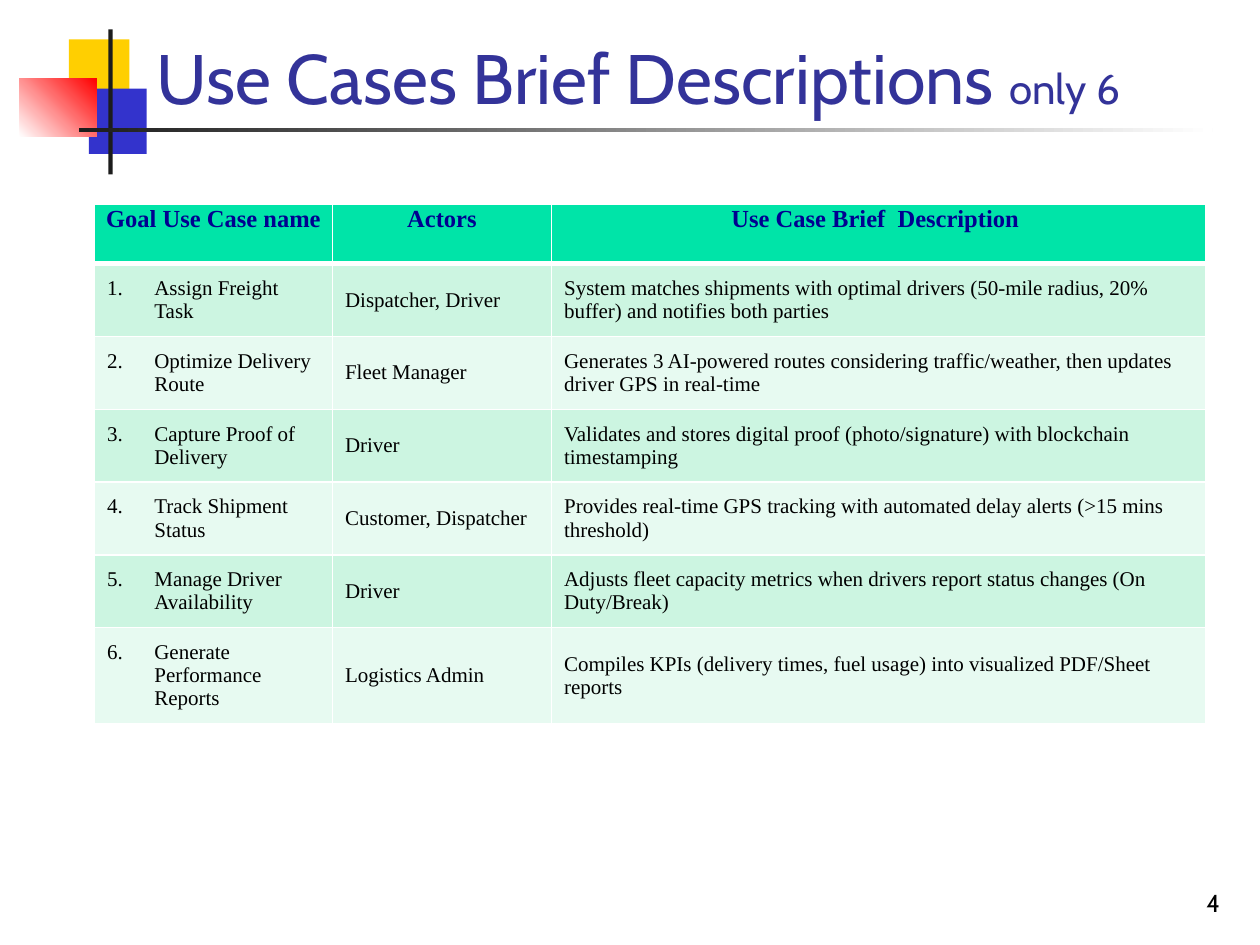
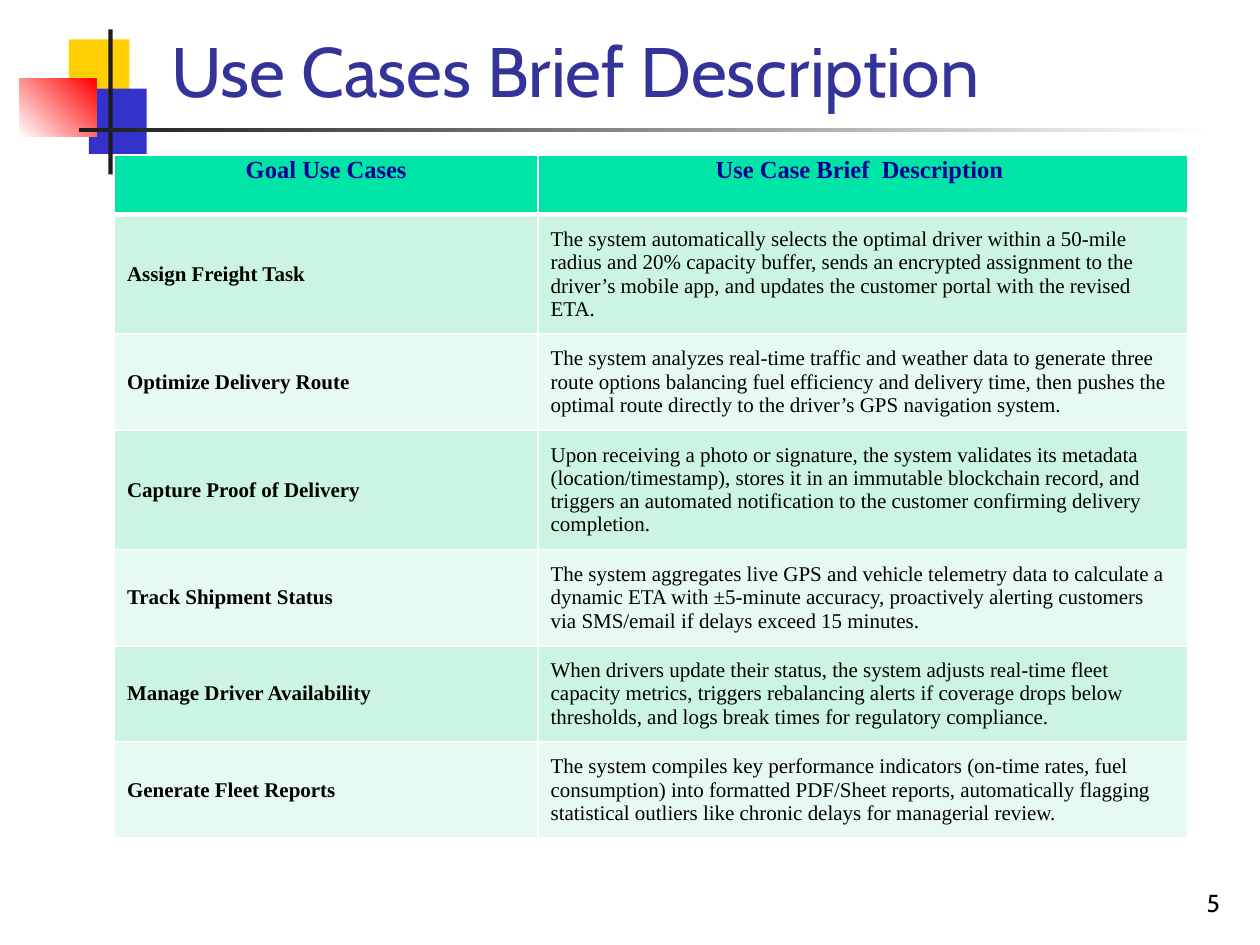
from dataclasses import dataclass

import pptx
import pptx.util
import pptx.dml.color
import pptx.enum.shapes
import pptx.enum.text
import pptx.oxml
import pptx.oxml.ns
from lxml import etree

Pt = pptx.util.Pt
RGB = pptx.dml.color.RGBColor.from_string
ALIGN = pptx.enum.text.PP_ALIGN
ANCHOR = pptx.enum.text.MSO_ANCHOR


@dataclass(frozen=True)
class Theme:
    title_font: str = "Cabin"
    table_font: str = "Times New Roman"
    title_size: float = 40
    title_note_size: float = 24
    header_size: float = 14
    body_size: float = 12
    number_size: float = 14
    title: str = "333399"
    ink: str = "000000"
    white: str = "FFFFFF"
    yellow: str = "FFCF01"
    blue: str = "3333CC"
    red: str = "FF0000"
    rule: str = "1C1C1C"
    header_text: str = "000090"
    header_fill: str = "00E4A8"
    bands: tuple = ("CCF5E1", "E7FAF1")


theme = Theme()


def write(frame, text, font=theme.title_font, size=theme.body_size, color=theme.ink,
          bold=False, align=ALIGN.LEFT, spacing=None, number=None, note=""):
    frame.word_wrap = True
    para = frame.paragraphs[0]
    para.alignment = align
    if spacing:
        para.line_spacing = spacing
    if number:
        properties = para._p.get_or_add_pPr()
        properties.set("marL", str(Pt(27)))
        properties.set("indent", str(-Pt(27)))
        etree.SubElement(properties, pptx.oxml.ns.qn("a:buAutoNum"),
                         type="arabicPeriod", startAt=str(number))
    for words, points in ((text, size), (note, theme.title_note_size)):
        if words:
            span = para.add_run()
            span.text = words
            span.font.name = font
            span.font.size = Pt(points)
            span.font.bold = bold
            span.font.color.rgb = RGB(color)


def draw_borders(cell, top, bottom):
    properties = cell._tc.get_or_add_tcPr()
    for side, width in (("L", 1), ("R", 1), ("T", top), ("B", bottom)):
        line = etree.SubElement(properties, pptx.oxml.ns.qn(f"a:ln{side}"), w=str(Pt(width)))
        fill = etree.SubElement(line, pptx.oxml.ns.qn("a:solidFill"))
        etree.SubElement(fill, pptx.oxml.ns.qn("a:srgbClr"), val=theme.white)


emblem = [
    ((39.4, 22.5, 34.5, 37.4), (theme.yellow,), 0),
    ((50.8, 50.6, 33.1, 37.4), (theme.blue,), 0),
    ((11.2, 44.8, 44, 33.4), (theme.white, theme.red), 45),
    ((61.9, 16.8, 2.5, 82.8), (theme.rule,), 0),
    ((45, 73.2, 648, 2.5), (theme.rule, theme.white), 0),
]

pages = [
    {
        "title": "Use Cases Brief Descriptions ",
        "note": "only 6",
        "title_at": (82.3, 20.9),
        "number": 4,
        "table_at": (54, 116.7),
        "columns": (136, 125.2, 373.7),
        "numbered": True,
        "lines": (2, 2, 2, 2, 2, 3),
        "header": ("Goal Use Case name", "Actors", "Use Case Brief  Description "),
        "rows": [
            ("Assign Freight Task", "Dispatcher, Driver",
             "System matches shipments with optimal drivers (50-mile radius, 20% buffer) "
             "and notifies both parties"),
            ("Optimize Delivery Route", "Fleet Manager",
             "Generates 3 AI-powered routes considering traffic/weather, then updates "
             "driver GPS in real-time"),
            ("Capture Proof of Delivery", "Driver",
             "Validates and stores digital proof (photo/signature) with blockchain timestamping"),
            ("Track Shipment Status", "Customer, Dispatcher",
             "Provides real-time GPS tracking with automated delay alerts (>15 mins threshold)"),
            ("Manage Driver Availability", "Driver",
             "Adjusts fleet capacity metrics when drivers report status changes (On Duty/Break)"),
            ("Generate Performance Reports", "Logistics Admin",
             "Compiles KPIs (delivery times, fuel usage) into visualized PDF/Sheet reports"),
        ],
    },
    {
        "title": "Use Cases Brief Description",
        "note": "",
        "title_at": (90.7, 16.6),
        "number": 5,
        "table_at": (65.4, 88.6),
        "columns": (242.1, 371),
        "numbered": False,
        "lines": (4, 3, 4, 3, 3, 3),
        "header": ("Goal Use Cases", "Use Case Brief  Description "),
        "rows": [
            ("Assign Freight Task",
             "The system automatically selects the optimal driver within a 50-mile radius and "
             "20% capacity buffer, sends an encrypted assignment to the driver’s mobile app, "
             "and updates the customer portal with the revised ETA."),
            ("Optimize Delivery Route",
             "The system analyzes real-time traffic and weather data to generate three route "
             "options balancing fuel efficiency and delivery time, then pushes the optimal "
             "route directly to the driver’s GPS navigation system."),
            ("Capture Proof of Delivery",
             "Upon receiving a photo or signature, the system validates its metadata "
             "(location/timestamp), stores it in an immutable blockchain record, and triggers "
             "an automated notification to the customer confirming delivery completion."),
            ("Track Shipment Status",
             "The system aggregates live GPS and vehicle telemetry data to calculate a dynamic "
             "ETA with ±5-minute accuracy, proactively alerting customers via SMS/email if "
             "delays exceed 15 minutes."),
            ("Manage Driver Availability",
             "When drivers update their status, the system adjusts real-time fleet capacity "
             "metrics, triggers rebalancing alerts if coverage drops below thresholds, and "
             "logs break times for regulatory compliance."),
            ("Generate Fleet Reports",
             "The system compiles key performance indicators (on-time rates, fuel consumption) "
             "into formatted PDF/Sheet reports, automatically flagging statistical outliers "
             "like chronic delays for managerial review."),
        ],
    },
]

deck = pptx.Presentation()
deck.slide_width = Pt(720)
deck.slide_height = Pt(540)

for content in pages:
    page = deck.slides.add_slide(deck.slide_layouts[6])

    for place, colors, angle in emblem:
        block = page.shapes.add_shape(pptx.enum.shapes.MSO_SHAPE.RECTANGLE, *map(Pt, place))
        block.shadow.inherit = False
        block.line.fill.background()
        if len(colors) == 1:
            block.fill.solid()
            block.fill.fore_color.rgb = RGB(colors[0])
        else:
            block.fill.gradient()
            block.fill.gradient_angle = angle
            for stop, color in zip(block.fill.gradient_stops, colors):
                stop.color.rgb = RGB(color)

    title_box = page.shapes.add_textbox(*map(Pt, (*content["title_at"], 613.4, 50.4)))
    title_box.text_frame.vertical_anchor = ANCHOR.BOTTOM
    write(title_box.text_frame, content["title"], size=theme.title_size,
          color=theme.title, note=content["note"])

    number_box = page.shapes.add_textbox(Pt(554.4), Pt(491.8), Pt(149.8), Pt(36))
    number_box.text_frame.vertical_anchor = ANCHOR.BOTTOM
    write(number_box.text_frame, str(content["number"]), size=theme.number_size,
          align=ALIGN.RIGHT)

    heights = [34] + [14.9 + 13.35 * lines for lines in content["lines"]]
    grid = [content["header"], *content["rows"]]
    table = page.shapes.add_table(
        len(grid), len(content["columns"]), *map(Pt, content["table_at"]),
        Pt(sum(content["columns"])), Pt(sum(heights))).table
    table.first_row = False
    table.horz_banding = False
    for column, width in zip(table.columns, content["columns"]):
        column.width = Pt(width)

    for row_index, (texts, height) in enumerate(zip(grid, heights)):
        table.rows[row_index].height = Pt(height)
        is_header = row_index == 0
        for column_index, text in enumerate(texts):
            cell = table.cell(row_index, column_index)
            draw_borders(cell, top=3 if row_index == 1 else 1, bottom=3 if is_header else 1)
            cell.fill.solid()
            cell.fill.fore_color.rgb = RGB(
                theme.header_fill if is_header else theme.bands[(row_index - 1) % 2])
            cell.margin_left = cell.margin_right = Pt(5.4 if is_header else 7.2)
            cell.margin_top = cell.margin_bottom = Pt(0 if is_header else 3.6)
            cell.vertical_anchor = ANCHOR.TOP if is_header else ANCHOR.MIDDLE
            if is_header:
                write(cell.text_frame, text, font=theme.table_font, size=theme.header_size,
                      color=theme.header_text, bold=True, align=ALIGN.CENTER, spacing=1.07)
            else:
                is_name = column_index == 0
                write(cell.text_frame, text, font=theme.table_font,
                      bold=is_name and not content["numbered"],
                      number=row_index if is_name and content["numbered"] else None)

deck.save("out.pptx")
